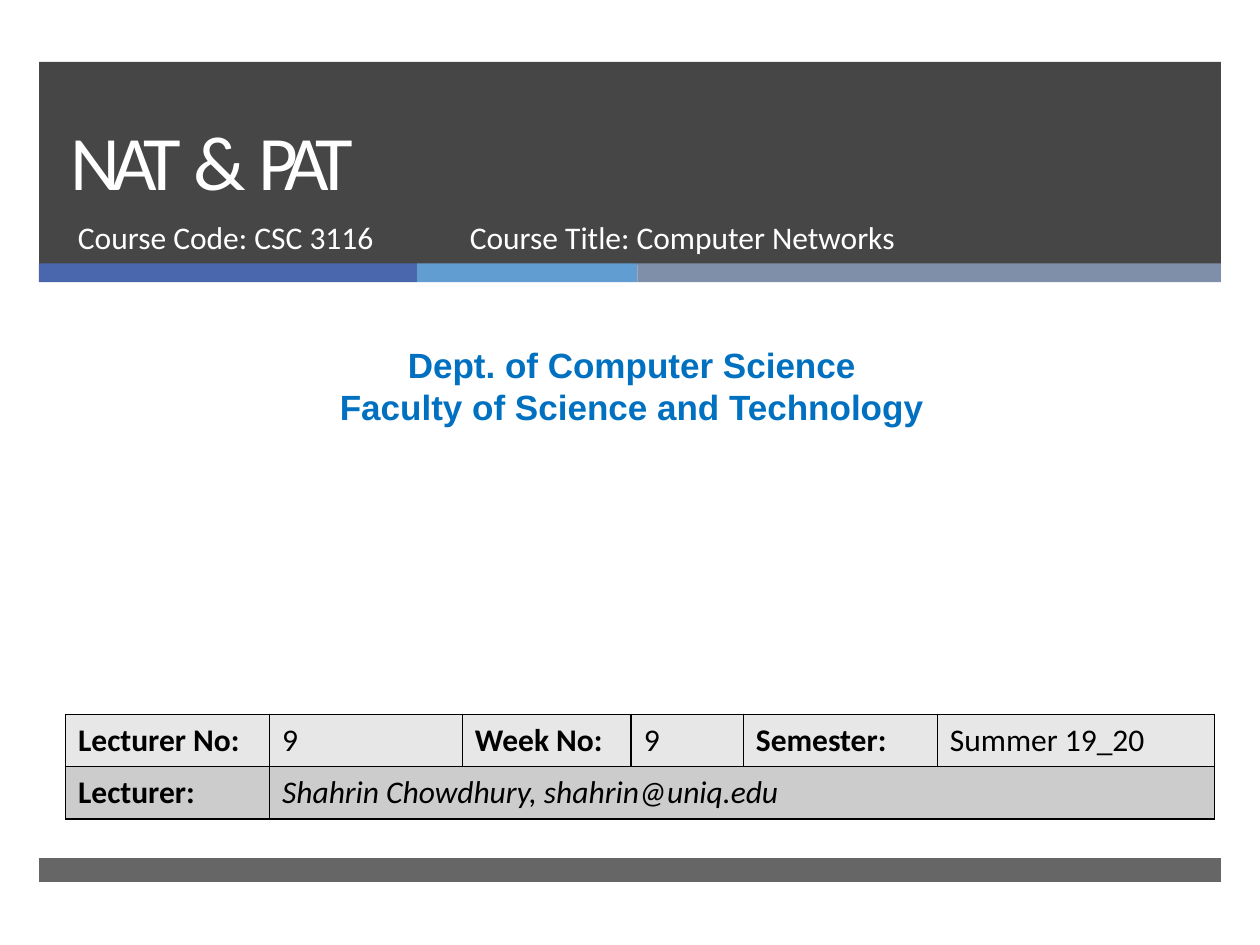
from lxml import etree
from pptx import Presentation
from pptx.dml.color import RGBColor
from pptx.enum.shapes import MSO_SHAPE
from pptx.enum.text import MSO_ANCHOR, PP_ALIGN
from pptx.oxml.ns import qn
from pptx.util import Inches, Pt

RECT = MSO_SHAPE.RECTANGLE
TOP, BOTTOM, MIDDLE = MSO_ANCHOR.TOP, MSO_ANCHOR.BOTTOM, MSO_ANCHOR.MIDDLE
LEFT, CENTER = PP_ALIGN.LEFT, PP_ALIGN.CENTER
COLORS = {
    "dark": "262626", "indigo": "4A66AC", "sky": "629DD1", "slate": "7F8FA9",
    "white": "FFFFFF", "dept": "0070C0", "black": "000000",
    "row_light": "E7E7E7", "row_dark": "CCCCCC",
}


def rgb(name):
    return RGBColor.from_string(COLORS[name])


def write_line(paragraph, text, color, **font_format):
    """Add one run to the paragraph and return it."""
    run = paragraph.add_run()
    run.text = text
    run.font.color.rgb = rgb(color)
    for attribute, value in font_format.items():
        setattr(run.font, attribute, value)
    return run


prs = Presentation()
prs.slide_width, prs.slide_height = Inches(10), Inches(7.5)
slide = prs.slides.add_slide(prs.slide_layouts[6])

# Header, three-colour stripe and footer: left, top, width, height, colour, opacity %
bands = [
    (0.31, 0.49, 9.38, 1.61, "dark", 85),
    (0.31, 2.09, 3, 0.15, "indigo", 100),
    (3.31, 2.09, 1.75, 0.15, "sky", 100),
    (5.06, 2.09, 4.63, 0.15, "slate", 100),
    (0.31, 6.81, 9.38, 0.19, "dark", 70),
]
for left, top, width, height, color, opacity in bands:
    band = slide.shapes.add_shape(RECT, Inches(left), Inches(top), Inches(width), Inches(height))
    band.shadow.inherit = False
    band.line.fill.background()
    band.fill.solid()
    band.fill.fore_color.rgb = rgb(color)
    if opacity < 100:
        tint = band.fill._xPr.find(".//" + qn("a:srgbClr"))
        etree.SubElement(tint, qn("a:alpha"), val=str(opacity * 1000))

# Texts: box, lines, colour, anchor, alignment, line spacing, letter spacing, font
course_font = {"name": "Calibri", "size": Pt(18)}
texts = [
    ((0.46, 0.49, 8.54, 1.19), ["NAT  &  PAT"], "white", BOTTOM, LEFT, Pt(46), -4.3,
     {"name": "Calibri", "size": Pt(44)}),
    ((0.52, 1.68, 3.05, 0.53), ["Course Code: CSC 3116"], "white", TOP, LEFT, None, 0,
     course_font),
    ((3.63, 1.68, 4.55, 0.53), ["Course Title: Computer Networks"], "white", TOP, LEFT, None, 0,
     course_font),
    ((0.08, 2.68, 9.87, 0.77), ["Dept. of Computer Science", "Faculty of Science and Technology"],
     "dept", TOP, CENTER, Pt(24), 0, {"name": "Arial", "size": Pt(20), "bold": True}),
]
for box, lines, color, anchor, alignment, line_spacing, letter_spacing, font in texts:
    frame = slide.shapes.add_textbox(*map(Inches, box)).text_frame
    frame.word_wrap = True
    frame.vertical_anchor = anchor
    for index, line in enumerate(lines):
        paragraph = frame.add_paragraph() if index else frame.paragraphs[0]
        paragraph.alignment = alignment
        paragraph.line_spacing = line_spacing
        run = write_line(paragraph, line, color, **font)
        if letter_spacing:
            run.font._element.set("spc", str(round(letter_spacing * 100)))

# Lecture details
column_widths = [1.62, 1.53, 1.34, 0.89, 1.54, 2.2]
details = [
    ["Lecturer No:", "9", "Week No:", "9", "Semester:", "Summer 19_20"],
    ["Lecturer:", "Shahrin Chowdhury, shahrin@uniq.edu"],
]
row_fills = ["row_light", "row_dark"]
table = slide.shapes.add_table(
    2, 6, Inches(0.52), Inches(5.67), Inches(sum(column_widths)), Inches(0.83)).table
for column, width in zip(table.columns, column_widths):
    column.width = Inches(width)
table.cell(1, 1).merge(table.cell(1, 5))

for row, (entries, fill) in enumerate(zip(details, row_fills)):
    for col in range(len(column_widths)):
        cell = table.cell(row, col)
        cell.vertical_anchor = MIDDLE
        if col < len(entries):
            write_line(cell.text_frame.paragraphs[0], entries[col], "black", name="Calibri",
                       size=Pt(18), bold=col % 2 == 0, italic=row == 1 and col == 1)
        properties = cell._tc.get_or_add_tcPr()
        for side in ("a:lnL", "a:lnR", "a:lnT", "a:lnB"):
            border = etree.SubElement(properties, qn(side), w=str(Pt(1)))
            solid = etree.SubElement(border, qn("a:solidFill"))
            etree.SubElement(solid, qn("a:srgbClr"), val=COLORS["black"])
        cell.fill.solid()
        cell.fill.fore_color.rgb = rgb(fill)

prs.save("out.pptx")
